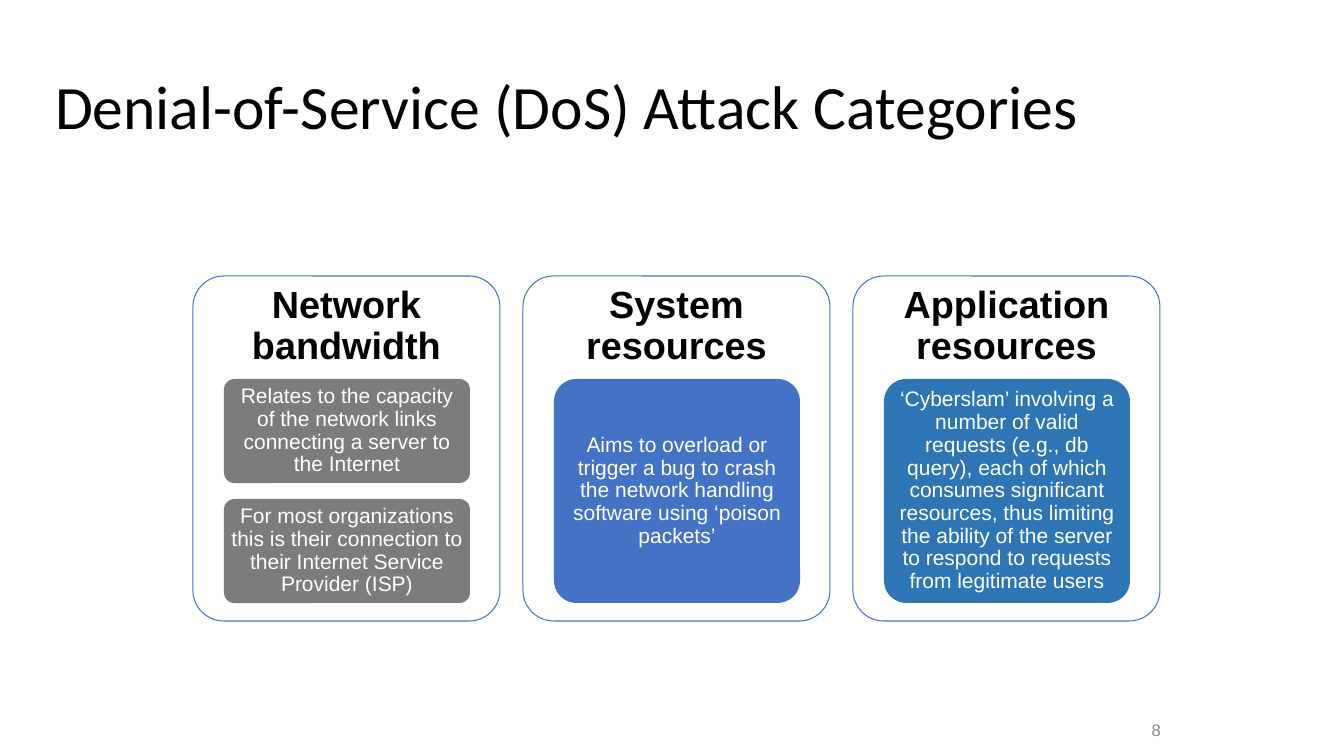
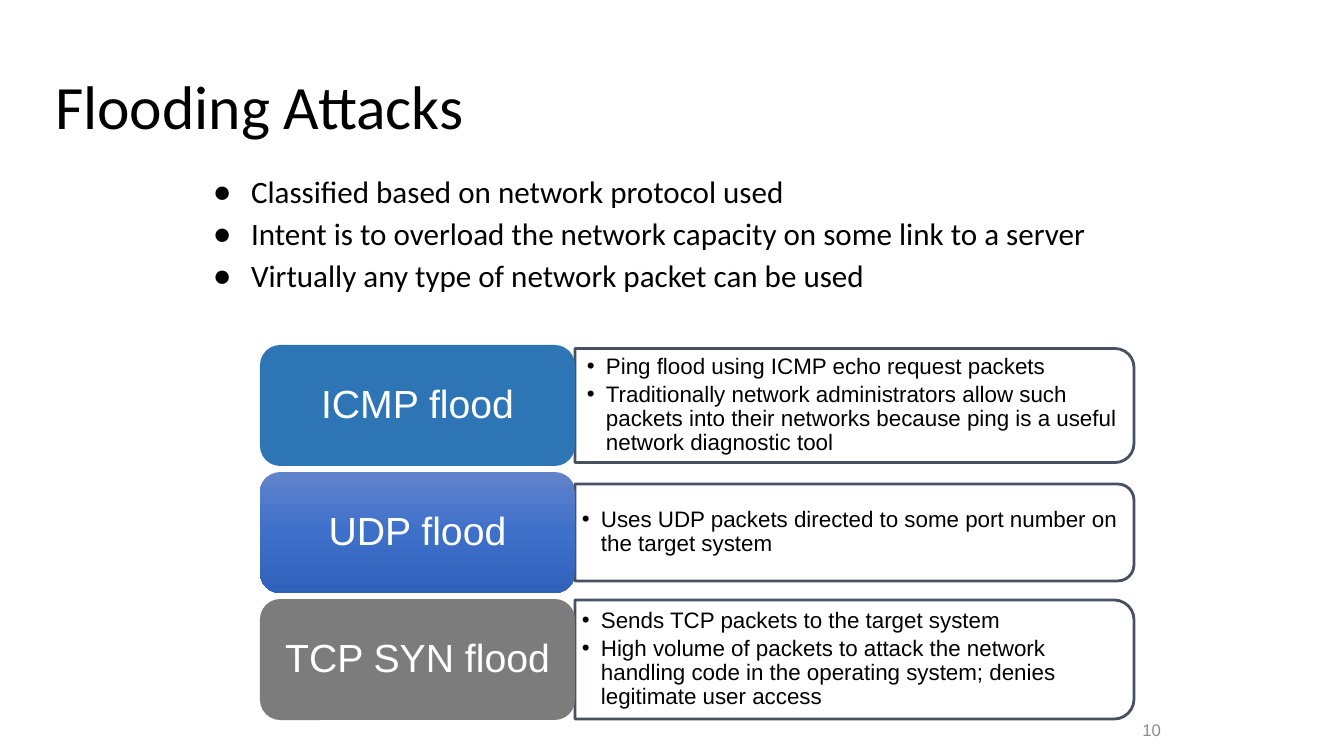
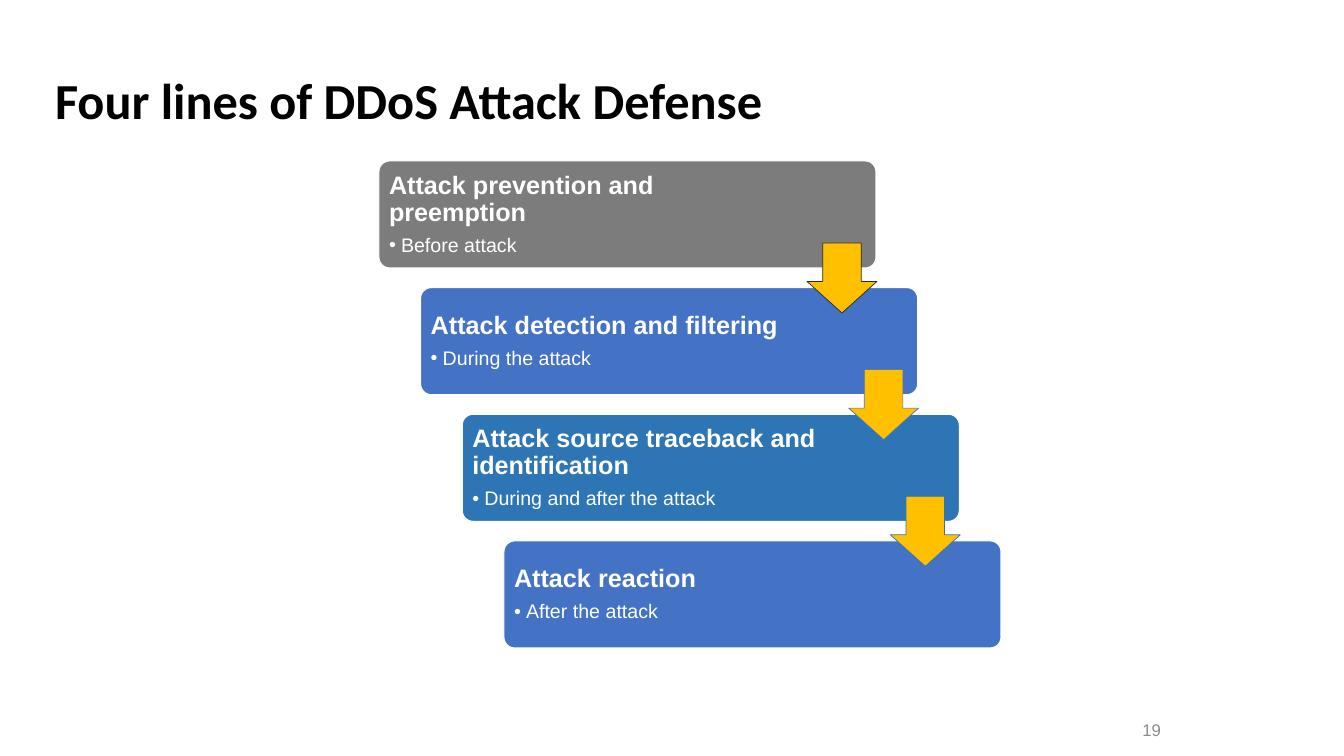
from copy import deepcopy

from lxml import etree
from pptx import Presentation
from pptx import util as u
from pptx.dml import color as col
from pptx.enum import shapes, text
from pptx.oxml import ns

INK, PAPER, GRAY = "000000", "FFFFFF", "7C7C7C"
BLUE, TEAL, SLATE, GOLD = "4472C4", "2E75B6", "333F50", "FFC000"
PX = 914400 / 100.8
LEFT, MID, RIGHT = text.PP_ALIGN.LEFT, text.PP_ALIGN.CENTER, text.PP_ALIGN.RIGHT
TOP, CENTER = text.MSO_ANCHOR.TOP, text.MSO_ANCHOR.MIDDLE
ROUND = shapes.MSO_SHAPE.ROUNDED_RECTANGLE

CARDS = [
    ("Network bandwidth", GRAY, [
        "Relates to the capacity of the network links connecting a server to the Internet",
        "For most organizations this is their connection to their Internet Service Provider (ISP)"]),
    ("System resources", BLUE, [
        "Aims to overload or trigger a bug to crash the network handling software using ‘poison packets’"]),
    ("Application resources", TEAL, [
        "‘Cyberslam’ involving a number of valid requests (e.g., db query), each of which consumes "
        "significant resources, thus limiting the ability of the server to respond to requests "
        "from legitimate users"]),
]
POINTS = [
    "Classified based on network protocol used",
    "Intent is to overload the network capacity on some link to a server",
    "Virtually any type of network packet can be used",
]
FLOODS = [
    ("ICMP flood", TEAL, 114, (12, 6), [
        "Ping flood using ICMP echo request packets",
        "Traditionally network administrators allow such packets into their networks because "
        "ping is a useful network diagnostic tool"]),
    ("UDP flood", ["6183CB", "3E70CA", "3062BB"], 97, (7, 3), [
        "Uses UDP packets directed to some port number on the target system"]),
    ("TCP SYN flood", GRAY, 119, (7, 3), [
        "Sends TCP packets to the target system",
        "High volume of packets to attack the network handling code in the operating system; "
        "denies legitimate user access"]),
]
STEPS = [
    ("Attack prevention and preemption", "Before attack", GRAY, "222A35"),
    ("Attack detection and filtering", "During the attack", BLUE, BLUE),
    ("Attack source traceback and identification", "During and after the attack", TEAL, TEAL),
    ("Attack reaction", "After the attack", BLUE, None),
]


def px(n):
    return u.Emu(round(n * PX))


def rgb(tone):
    return col.RGBColor.from_string(tone)


def place(item, x, y, w, h):
    item.left, item.top, item.width, item.height = px(x), px(y), px(w), px(h)


def setup(frame, pads, anchor=CENTER):
    frame.word_wrap = True
    frame.auto_size = text.MSO_AUTO_SIZE.NONE
    frame.vertical_anchor = anchor
    (frame.margin_left, frame.margin_top,
     frame.margin_right, frame.margin_bottom) = [px(n) for n in pads]


def write(frame, words, size, tone=INK, font="Arial", bold=False,
          align=LEFT, after=0, mark=None, dent=0):
    para = frame.paragraphs[0]
    if para.runs:
        para = frame.add_paragraph()
    para.alignment, para.line_spacing = align, 0.9
    para.space_before, para.space_after = u.Pt(0), u.Pt(after)
    if mark:
        props = para._p.get_or_add_pPr()
        props.set("marL", str(px(dent)))
        props.set("indent", str(-px(dent)))
        etree.SubElement(props, ns.qn("a:buFont")).set("typeface", "Arial")
        etree.SubElement(props, ns.qn("a:buChar")).set("char", mark)
    run = para.add_run()
    run.text = words
    run.font.size, run.font.bold, run.font.name = u.Pt(size), bold, font
    run.font.color.rgb = rgb(tone)


def blend(item, tones):
    item.fill.gradient()
    item.fill.gradient_angle = 270
    stops = item._element.spPr.find(".//" + ns.qn("a:gsLst"))
    stops.insert(1, deepcopy(stops[0]))
    for i, stop in enumerate(item.fill.gradient_stops):
        stop.position = i / (len(tones) - 1)
        stop.color.rgb = rgb(tones[i])


def shape(slide, kind, box, fill=None, line=None, width=0.75, adj=()):
    item = slide.shapes.add_shape(kind, *[px(n) for n in box])
    item.shadow.inherit = False
    for i, part in enumerate(adj):
        item.adjustments[i] = part
    if isinstance(fill, list):
        blend(item, fill)
    elif fill:
        item.fill.solid()
        item.fill.fore_color.rgb = rgb(fill)
    else:
        item.fill.background()
    if line:
        item.line.color.rgb = rgb(line)
        item.line.width = u.Pt(width)
    else:
        item.line.fill.background()
    return item


def label(slide, box, pads):
    frame = slide.shapes.add_textbox(*[px(n) for n in box]).text_frame
    setup(frame, pads)
    return frame


def start(deck, title, number, size=44, bold=False, layout=5):
    slide = deck.slides.add_slide(deck.slide_layouts[layout])
    head = slide.shapes.title
    place(head, 45, 66, 1252, 85)
    setup(head.text_frame, (10, 10, 10, 10), TOP)
    write(head.text_frame, title, size, font="Calibri", bold=bold)
    foot = label(slide, (1102, 724, 69, 15), (10, 5, 10, 5))
    write(foot, number, 12, "8C8C8C", align=RIGHT)
    return slide


def classes(deck):
    slide = start(deck, "Denial-of-Service (DoS) Attack Categories", "8")
    gap, room = 16, 224
    for i, (name, tone, notes) in enumerate(CARDS):
        x = 193 + 330 * i
        card = shape(slide, ROUND, (x, 276, 307, 345), None, BLUE, adj=[0.1])
        setup(card.text_frame, (2, 1, 2, 0), TOP)
        write(card.text_frame, name, 27, bold=True, align=MID)
        tall = (room - gap * (len(notes) - 1)) / len(notes)
        for j, note in enumerate(notes):
            box = (x + 31, 379 + j * (tall + gap), 246, tall)
            tile = shape(slide, ROUND, box, tone, adj=[0.1])
            setup(tile.text_frame, (4, 3, 4, 3))
            write(tile.text_frame, note, 15, PAPER, align=MID)


def floods(deck):
    slide = start(deck, "Flooding Attacks", "10", layout=1)
    body = slide.placeholders[1]
    place(body, 203, 167, 939, 148)
    setup(body.text_frame, (10, 10, 10, 10), TOP)
    for point in POINTS:
        write(body.text_frame, point, 22.2, font="Calibri", after=6, mark="●", dent=38)
    x, wide, tall, span = 260, 315, 121, 559
    edge = x + wide
    for i, (name, tone, high, (side, rim), notes) in enumerate(FLOODS):
        y = 345 + 127 * i
        mid = y + tall / 2
        box = (edge + (span - high) / 2, mid - span / 2, high, span)
        panel = shape(slide, shapes.MSO_SHAPE.ROUND_2_SAME_RECTANGLE, box, PAPER, SLATE, 2)
        panel.rotation = 90
        ink = panel.line._ln.find(".//" + ns.qn("a:srgbClr"))
        etree.SubElement(ink, ns.qn("a:alpha")).set("val", "90000")
        frame = label(slide, (edge, mid - high / 2, 554, high), (side, rim, side, rim))
        for note in notes:
            write(frame, note, 16, after=2.4, mark="•", dent=19)
        tab = shape(slide, ROUND, (x, y, wide, tall), tone)
        setup(tab.text_frame, (12, 6, 12, 6))
        write(tab.text_frame, name, 28, PAPER, align=MID)


def defense(deck):
    slide = start(deck, "Four lines of DDoS Attack Defense", "19", 36, True)
    spots = [(379 + 125 * i / 3, 161 + 380 * i / 3) for i in range(len(STEPS))]
    for (x, y), (name, when, tone, rim) in zip(spots, STEPS):
        step = shape(slide, ROUND, (x, y, 497, 107), tone, PAPER, adj=[0.1])
        setup(step.text_frame, (7, 7, 118, 7))
        write(step.text_frame, name, 18, PAPER, bold=True, after=6.3)
        write(step.text_frame, when, 14, PAPER, after=2.1, mark="•", dent=12)
    for (x, y), (name, when, tone, rim) in zip(spots, STEPS):
        if rim:
            shape(slide, shapes.MSO_SHAPE.DOWN_ARROW, (x + 428, y + 82, 70, 70),
                  GOLD, rim, 0.5, [0.55, 0.45])


def main():
    deck = Presentation()
    deck.slide_width, deck.slide_height = px(1344), px(756)
    classes(deck)
    floods(deck)
    defense(deck)
    deck.save("out.pptx")


if __name__ == "__main__":
    main()
